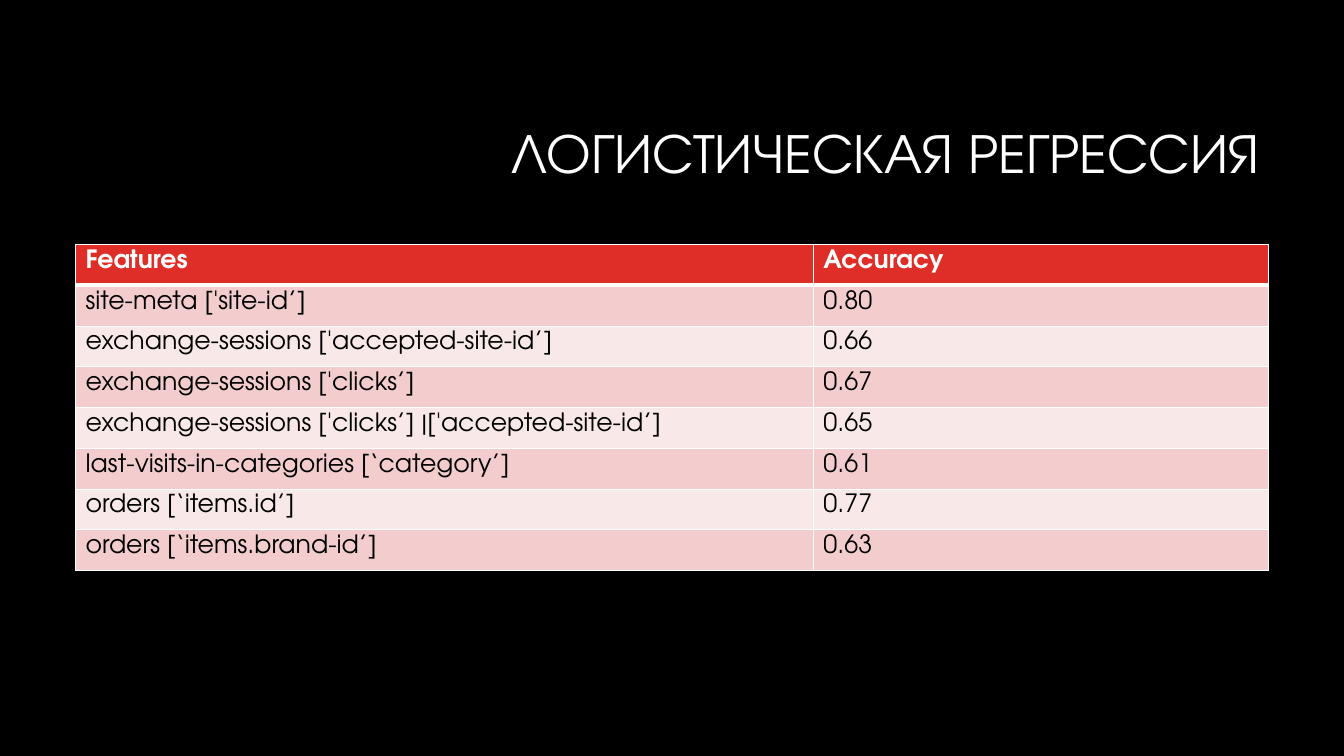
"""Build a slide with a table of logistic regression accuracy by feature."""
import pptx
import pptx.util
import pptx.dml.color
import pptx.enum.text
import pptx.oxml
import pptx.oxml.ns

Pt = pptx.util.Pt
RGBColor = pptx.dml.color.RGBColor

TITLE = "ЛОГИСТИЧЕСКАЯ РЕГРЕССИЯ"
TALL, SHORT = 29.2, 24
ROWS = [
    ("Features", "Accuracy", TALL),
    ("site-meta ['site-id’]", "0.80", TALL),
    ("exchange-sessions ['accepted-site-id’]", "0.66", SHORT),
    ("exchange-sessions ['clicks’]", "0.67", TALL),
    ("exchange-sessions ['clicks’] |['accepted-site-id’]", "0.65", TALL),
    ("last-visits-in-categories [‘category’]", "0.61", TALL),
    ("orders [‘items.id’]", "0.77", SHORT),
    ("orders [‘items.brand-id’]", "0.63", TALL),
]
COLUMN_WIDTHS = (527, 325)
FONT = "TeX Gyre Adventor"
BLACK = RGBColor(0x00, 0x00, 0x00)
WHITE = RGBColor(0xFF, 0xFF, 0xFF)
RED = RGBColor(0xDF, 0x2E, 0x28)
BANDS = (RGBColor(0xF9, 0xE8, 0xE8), RGBColor(0xF3, 0xCD, 0xCD))


def style(p, size, color, bold=False):
    """Set the font of a paragraph."""
    p.font.name = FONT
    p.font.size = Pt(size)
    p.font.color.rgb = color
    p.font.bold = bold


def add_border(cell, side, width):
    """Add a solid white border to one side of a cell."""
    cell._tc.get_or_add_tcPr().append(pptx.oxml.parse_xml(
        f'<a:ln{side} {pptx.oxml.ns.nsdecls("a")} w="{Pt(width)}">'
        f'<a:solidFill><a:srgbClr val="{WHITE}"/></a:solidFill></a:ln{side}>'))


prs = pptx.Presentation()
prs.slide_width, prs.slide_height = Pt(960), Pt(540)
s = prs.slides.add_slide(prs.slide_layouts[6])
s.background.fill.solid()
s.background.fill.fore_color.rgb = BLACK

tf = s.shapes.add_textbox(Pt(228.2), Pt(60.5), Pt(678.2), Pt(101.5)).text_frame
tf.word_wrap = True
tf.vertical_anchor = pptx.enum.text.MSO_ANCHOR.MIDDLE
p = tf.paragraphs[0]
p.text = TITLE
p.alignment = pptx.enum.text.PP_ALIGN.RIGHT
p.line_spacing = 0.9
style(p, 40, WHITE)

table = s.shapes.add_table(
    len(ROWS), len(COLUMN_WIDTHS), Pt(54), Pt(174.6),
    Pt(sum(COLUMN_WIDTHS)), Pt(sum(row[-1] for row in ROWS))).table
for column, width in zip(table.columns, COLUMN_WIDTHS):
    column.width = Pt(width)
for i, (*texts, height) in enumerate(ROWS):
    table.rows[i].height = Pt(height)
    header = i == 0
    for j, text in enumerate(texts):
        cell = table.cell(i, j)
        for side in "LRTB":
            under_header = (i, side) in ((0, "B"), (1, "T"))
            add_border(cell, side, 3 if under_header else 1)
        cell.fill.solid()
        cell.fill.fore_color.rgb = RED if header else BANDS[i % 2]
        p = cell.text_frame.paragraphs[0]
        p.text = text
        style(p, 18, WHITE if header else BLACK, header)

prs.save("out.pptx")
